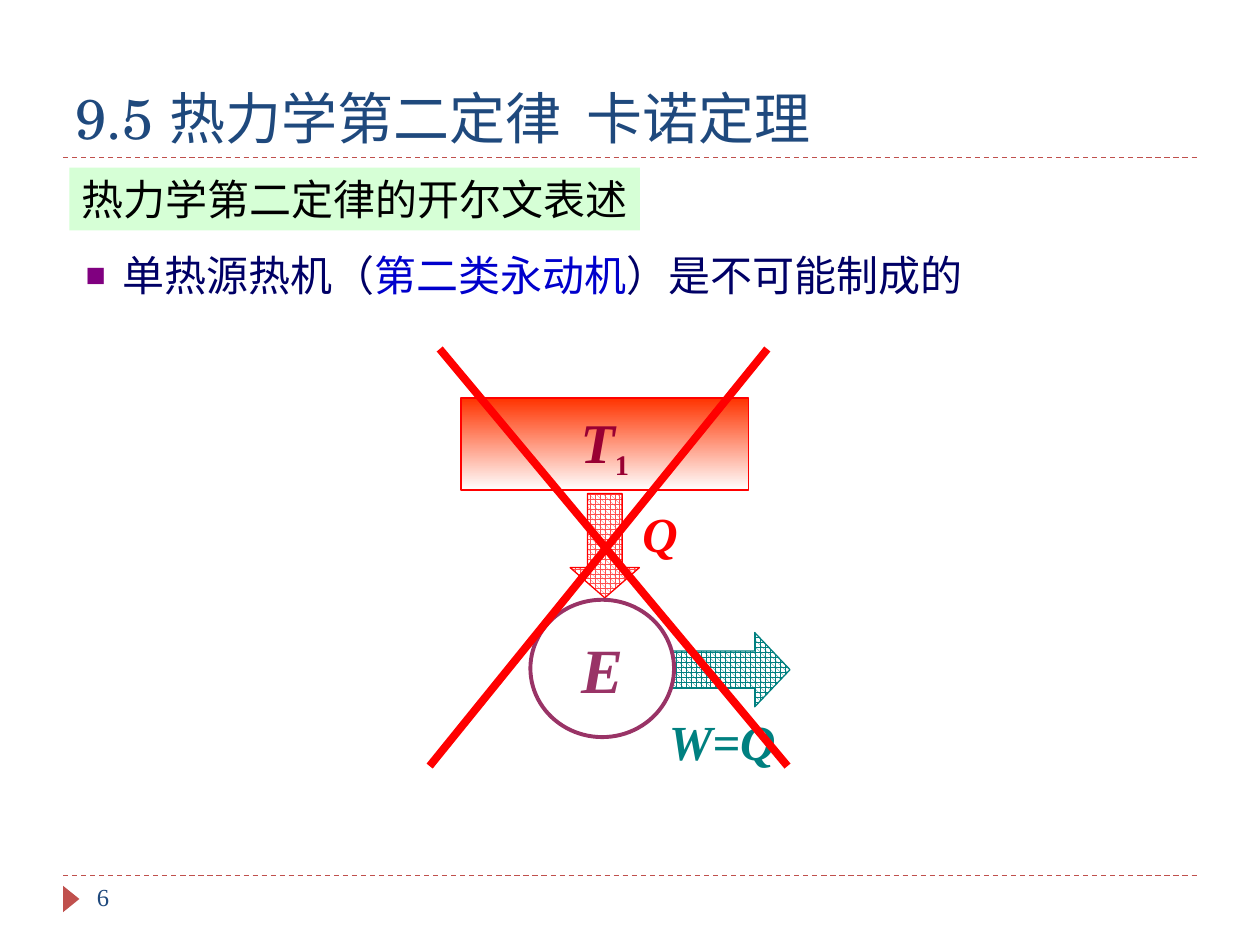
from dataclasses import dataclass

from lxml import etree
from pptx import Presentation
from pptx.dml.color import RGBColor
from pptx.enum.dml import MSO_LINE, MSO_PATTERN
from pptx.enum.shapes import MSO_CONNECTOR, MSO_SHAPE
from pptx.enum.text import MSO_ANCHOR, MSO_AUTO_SIZE, PP_ALIGN
from pptx.oxml.ns import qn
from pptx.util import Inches, Pt

STRAIGHT = MSO_CONNECTOR.STRAIGHT
RECTANGLE, OVAL = MSO_SHAPE.RECTANGLE, MSO_SHAPE.OVAL
TRIANGLE = MSO_SHAPE.ISOSCELES_TRIANGLE
DASH, SPHERE = MSO_LINE.DASH, MSO_PATTERN.SPHERE
TOP, MIDDLE, BOTTOM = MSO_ANCHOR.TOP, MSO_ANCHOR.MIDDLE, MSO_ANCHOR.BOTTOM
LEFT, CENTER = PP_ALIGN.LEFT, PP_ALIGN.CENTER


@dataclass(frozen=True)
class Theme:
    title_font: str = "TeX Gyre Schola"
    font: str = "Times New Roman"
    title: str = "1F497D"
    accent: str = "C0504D"
    label: str = "CCFFCC"
    bullet: str = "800080"
    body: str = "000066"
    emphasis: str = "0000CC"
    black: str = "000000"
    white: str = "FFFFFF"
    red: str = "FF0000"
    source_top: str = "FF3300"
    source_text: str = "990033"
    heat: str = "FF5050"
    work: str = "008080"
    engine: str = "993366"
    title_size: int = 32
    body_size: int = 24
    symbol_size: int = 28
    source_size: int = 32
    engine_size: int = 36
    number_size: int = 14


THEME = Theme()


def rgb(value):
    return RGBColor.from_string(value)


def box(*lengths):
    return [Inches(length) for length in lengths]


def place(shape, *bounds):
    shape.left, shape.top, shape.width, shape.height = box(*bounds)


def set_frame(shape, anchor=TOP, align=LEFT, wrap=True):
    frame = shape.text_frame
    frame.word_wrap = wrap
    frame.auto_size = MSO_AUTO_SIZE.NONE
    frame.vertical_anchor = anchor
    paragraph = frame.paragraphs[0]
    paragraph.alignment = align
    return paragraph


def add_run(paragraph, text, size, color, font=THEME.font, bold=False, italic=False):
    run = paragraph.add_run()
    run.text = text
    run.font.name = font
    run.font.size = Pt(size)
    run.font.color.rgb = rgb(color)
    run.font.bold = bold
    run.font.italic = italic
    return run


def add_symbol(paragraph, text, size, color):
    return add_run(paragraph, text, size, color, bold=True, italic=True)


def set_outline(shape, color, width):
    shape.shadow.inherit = False
    shape.line.color.rgb = rgb(color)
    shape.line.width = Pt(width)


def add_text_box(slide, bounds, anchor=TOP, wrap=False):
    text_box = slide.shapes.add_textbox(*box(*bounds))
    return text_box, set_frame(text_box, anchor, wrap=wrap)


def add_line(slide, start, end, color, width, dash=None):
    line = slide.shapes.add_connector(STRAIGHT, *box(*start, *end))
    line.line.color.rgb = rgb(color)
    line.line.width = Pt(width)
    if dash:
        line.line.dash_style = dash
    etree.SubElement(line._element.spPr, qn("a:effectLst"))


def add_striped_arrow(slide, left, top, length, width, head, fill, outline, rotation=0):
    """Right arrow with two stripes at its tail, patterned, then rotated."""
    def stripe(start, end):
        return [(length * x, width * y)
                for x, y in ((start, 0.25), (end, 0.25), (end, 0.75), (start, 0.75))]

    neck, tail = length - head, length * 5 / 32
    arrow = [(neck, 0), (neck, width / 4), (tail, width / 4), (tail, width * 0.75),
             (neck, width * 0.75), (neck, width), (length, width / 2)]
    builder = None
    for outline_points in (arrow, stripe(1 / 16, 1 / 8), stripe(0, 1 / 32)):
        points = [box(left + x, top + y) for x, y in outline_points]
        if builder is None:
            builder = slide.shapes.build_freeform(*points[0])
        else:
            builder.move_to(*points[0])
        builder.add_line_segments(points[1:], close=True)
    shape = builder.convert_to_shape()
    shape.rotation = rotation
    shape.fill.patterned()
    shape.fill.pattern = SPHERE
    shape.fill.fore_color.rgb = rgb(fill)
    shape.fill.back_color.rgb = rgb(THEME.white)
    set_outline(shape, outline, 0.75)


def add_page_frame(slide):
    for y in (1.25, 6.95):
        add_line(slide, (0.5, y), (9.5, y), THEME.accent, 0.75, DASH)
    marker = slide.shapes.add_shape(TRIANGLE, *box(0.46, 7.07, 0.21, 0.13))
    marker.rotation = 90
    marker.shadow.inherit = False
    marker.fill.solid()
    marker.fill.fore_color.rgb = rgb(THEME.accent)
    marker.line.fill.background()
    _, number = add_text_box(slide, (0.67, 6.95, 2.17, 0.4), wrap=True)
    add_run(number, "6", THEME.number_size, THEME.title)


def add_title(slide):
    title = slide.shapes.title
    place(title, 0.5, 0.25, 9, 1)
    add_run(set_frame(title, BOTTOM), "9.5 热力学第二定律  卡诺定理",
            THEME.title_size, THEME.title, THEME.title_font)


def add_statement(slide):
    statement = slide.placeholders[1]
    place(statement, 0.58, 1.83, 7.61, 0.6)
    paragraph = set_frame(statement)
    paragraph.line_spacing = 1.25
    paragraph.space_before = Pt(0)
    properties = paragraph._p.get_or_add_pPr()
    properties.set("marL", str(Inches(0.22)))
    properties.set("indent", str(-Inches(0.22)))
    bullet_color = etree.SubElement(properties, qn("a:buClr"))
    etree.SubElement(bullet_color, qn("a:srgbClr"), val=THEME.bullet)
    etree.SubElement(properties, qn("a:buSzPct"), val="80000")
    etree.SubElement(properties, qn("a:buFont"), typeface=THEME.font)
    etree.SubElement(properties, qn("a:buChar"), char="■")
    for text, color in ((" 单热源热机（", THEME.body), ("第二类永动机", THEME.emphasis),
                        ("）是不可能制成的", THEME.body)):
        add_run(paragraph, text, THEME.body_size, color)


def add_heat_source(slide):
    source = slide.shapes.add_shape(RECTANGLE, *box(3.66, 3.16, 2.28, 0.73))
    source.fill.gradient()
    source.fill.gradient_angle = 270
    for stop, color in zip(source.fill.gradient_stops, (THEME.source_top, THEME.white)):
        stop.color.rgb = rgb(color)
    set_outline(source, THEME.red, 0.75)
    paragraph = set_frame(source, MIDDLE, CENTER, wrap=False)
    add_symbol(paragraph, "T", THEME.source_size, THEME.source_text)
    index = add_run(paragraph, "1", THEME.symbol_size, THEME.source_text, bold=True)
    index._r.get_or_add_rPr().set("baseline", "-25000")


def add_engine(slide):
    engine = slide.shapes.add_shape(OVAL, *box(4.21, 4.76, 1.14, 1.09))
    engine.fill.solid()
    engine.fill.fore_color.rgb = rgb(THEME.white)
    set_outline(engine, THEME.engine, 2.25)
    add_symbol(set_frame(engine, MIDDLE, CENTER, wrap=False), "E",
               THEME.engine_size, THEME.engine)


def add_section_label(slide):
    label, paragraph = add_text_box(slide, (0.55, 1.33, 4.53, 0.5), MIDDLE)
    label.fill.solid()
    label.fill.fore_color.rgb = rgb(THEME.label)
    color = label._element.spPr.find(".//" + qn("a:srgbClr"))
    etree.SubElement(color, qn("a:alpha"), val="80000")
    add_run(paragraph, "热力学第二定律的开尔文表述", THEME.body_size, THEME.black)


def main():
    prs = Presentation()
    prs.slide_width, prs.slide_height = box(10, 7.5)
    slide = prs.slides.add_slide(prs.slide_layouts[1])

    # Page frame and text
    add_page_frame(slide)
    add_title(slide)
    add_statement(slide)

    # Single-source heat engine; source and engine cover the arrow tails
    add_striped_arrow(slide, 4.31, 3.98, 0.98, 0.55, 0.24, THEME.heat, THEME.red, 90)
    add_heat_source(slide)
    add_striped_arrow(slide, 5.16, 5.02, 1.11, 0.59, 0.28, THEME.work, THEME.work)
    for text, bounds, color in (("W=Q", (5.21, 5.6, 1.05, 0.57), THEME.work),
                                ("Q", (5, 3.95, 0.48, 0.57), THEME.red)):
        _, paragraph = add_text_box(slide, bounds)
        add_symbol(paragraph, text, THEME.symbol_size, color)
    add_engine(slide)

    # Cross marking the engine as impossible
    for start, end in (((6.09, 2.77), (3.41, 6.08)), ((3.49, 2.77), (6.25, 6.08))):
        add_line(slide, start, end, THEME.red, 4.5)

    add_section_label(slide)
    prs.save("out.pptx")


if __name__ == "__main__":
    main()
